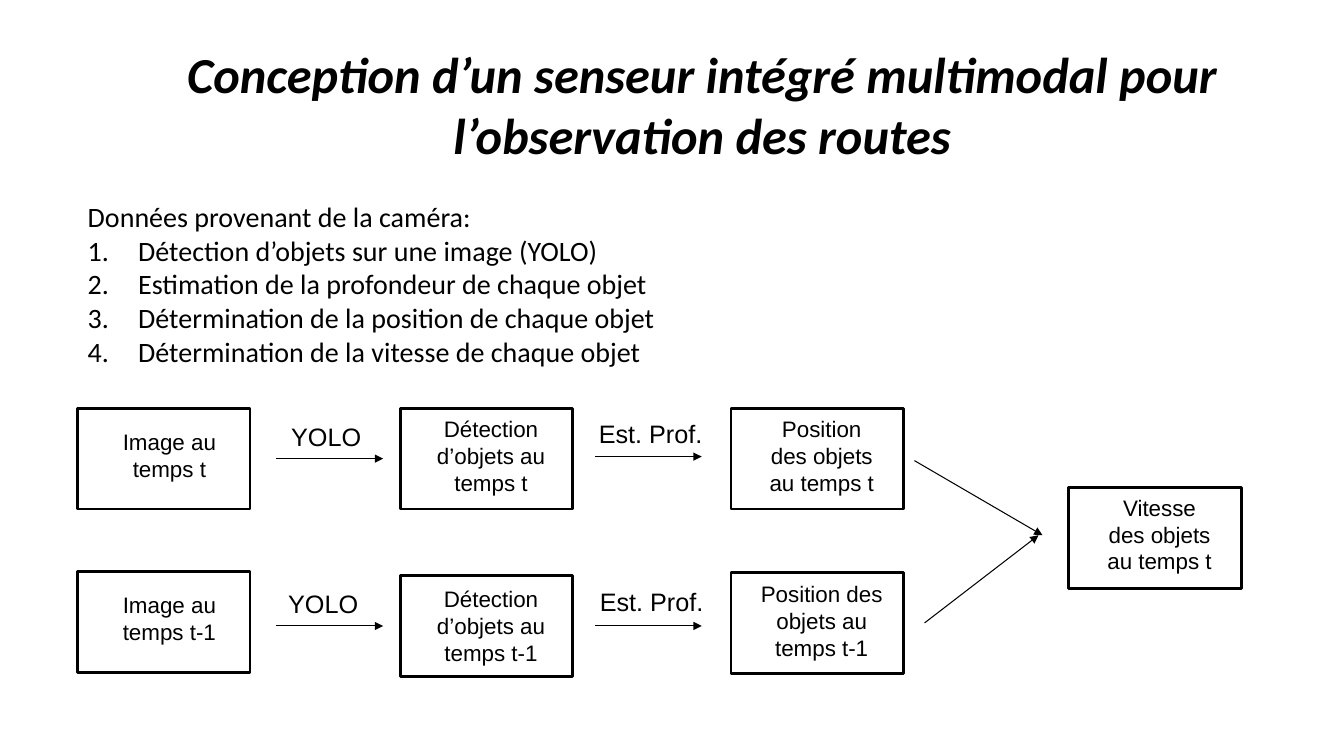
from lxml import etree
from pptx import Presentation
from pptx import util as u
from pptx.dml.color import RGBColor
from pptx.enum import shapes, text
from pptx.oxml.ns import qn

PX = 9144  # 100 px to the inch
BLACK, WHITE = "000000", "FFFFFF"
BOX_WIDTH, BOX_HEIGHT = 171, 100

TITLE = "Conception d’un senseur intégré multimodal pour l’observation des routes"
INTRO = "Données provenant de la caméra:"
STEPS = [
    "Détection d’objets sur une image (YOLO)",
    "Estimation de la profondeur de chaque objet",
    "Détermination de la position de chaque objet",
    "Détermination de la vitesse de chaque objet",
]

# box left, box top, caption, caption left, top, width, height
STAGES = [
    (77, 405, "Image au temps t", 102, 420, 132, 63),
    (77, 567, "Image au temps t-1", 102, 582, 132, 63),
    (397, 405, "Détection d’objets au temps t", 421, 407, 132, 90),
    (397, 571, "Détection d’objets au temps t-1", 421, 576, 132, 90),
    (725, 405, "Position des objets au temps t", 749, 407, 132, 90),
    (725, 568, "Position des objets au temps t-1", 742, 571, 146, 90),
    (1060, 484, "Vitesse des objets au temps t", 1084, 485, 132, 90),
]
ARROWS = [
    (274, 455, 380, 455),
    (274, 621, 380, 621),
    (590, 453, 696, 453),
    (590, 621, 696, 621),
    (907, 457, 1034, 531),
    (917, 618, 1030, 531),
]
METHODS = [
    ("YOLO", 279, 413, 94),
    ("YOLO", 276, 579, 94),
    ("Est. Prof.", 584, 410, 129),
    ("Est. Prof.", 585, 577, 129),
]

TITLE_FONT = {"name": "Calibri", "size": u.Pt(36), "bold": True, "italic": True}
LIST_FONT = {"name": "Calibri", "size": u.Pt(20)}
STAGE_FONT = {"name": "Arial", "size": u.Pt(16)}
METHOD_FONT = {"name": "Arial", "size": u.Pt(18)}


def px(*lengths):
    return [u.Emu(length * PX) for length in lengths]


def color(hex_value):
    return RGBColor.from_string(hex_value)


def set_attributes(target, values):
    for name, value in values.items():
        setattr(target, name, value)


def place(shape, left, top, width, height):
    set_attributes(shape, dict(zip(("left", "top", "width", "height"),
                                   px(left, top, width, height))))


def write(paragraph, content, font, alignment):
    paragraph.alignment = alignment
    run = paragraph.add_run()
    run.text = content
    set_attributes(run.font, font)
    run.font.color.rgb = color(BLACK)


def prepare_frame(shape):
    frame = shape.text_frame
    set_attributes(frame, {
        "word_wrap": True,
        "auto_size": text.MSO_AUTO_SIZE.NONE,
        "vertical_anchor": text.MSO_ANCHOR.TOP,
    })
    return frame


def fill_title(slide):
    title = slide.shapes.title
    place(title, 102, 38, 1189, 131)
    write(prepare_frame(title).paragraphs[0], TITLE, TITLE_FONT, text.PP_ALIGN.CENTER)


def set_bullet(paragraph, numbered):
    properties = paragraph._p.get_or_add_pPr()
    indent = px(50)[0] if numbered else 0
    properties.set("marL", str(indent))
    properties.set("indent", str(-indent))
    if numbered:
        bullet_color = etree.SubElement(properties, qn("a:buClr"))
        etree.SubElement(bullet_color, qn("a:srgbClr"), val=BLACK)
        etree.SubElement(properties, qn("a:buAutoNum"), type="arabicPeriod")
    else:
        etree.SubElement(properties, qn("a:buNone"))


def fill_list(slide):
    body = slide.placeholders[1]
    place(body, 77, 193, 883, 210)
    frame = prepare_frame(body)
    for index, content in enumerate([INTRO] + STEPS):
        paragraph = frame.add_paragraph() if index else frame.paragraphs[0]
        paragraph.space_before = u.Pt(0)
        set_bullet(paragraph, numbered=index > 0)
        write(paragraph, content, LIST_FONT, text.PP_ALIGN.LEFT)


def add_label(slide, content, position, font, alignment):
    label = slide.shapes.add_textbox(*px(*position))
    write(prepare_frame(label).paragraphs[0], content, font, alignment)


def add_stage(slide, left, top, caption, *caption_position):
    box = slide.shapes.add_shape(shapes.MSO_SHAPE.RECTANGLE,
                                 *px(left, top, BOX_WIDTH, BOX_HEIGHT))
    box.shadow.inherit = False
    box.fill.solid()
    box.fill.fore_color.rgb = color(WHITE)
    box.line.color.rgb = color(BLACK)
    box.line.width = u.Pt(2)
    add_label(slide, caption, caption_position, STAGE_FONT, text.PP_ALIGN.CENTER)


def add_arrow(slide, *ends):
    arrow = slide.shapes.add_connector(shapes.MSO_CONNECTOR.STRAIGHT, *px(*ends))
    arrow.line.color.rgb = color(BLACK)
    arrow.line.width = u.Pt(0.75)
    etree.SubElement(arrow.line._get_or_add_ln(), qn("a:tailEnd"), type="triangle")
    etree.SubElement(arrow._element.spPr, qn("a:effectLst"))


def main():
    presentation = Presentation()
    presentation.slide_width, presentation.slide_height = px(1333, 750)
    slide = presentation.slides.add_slide(presentation.slide_layouts[1])
    fill_title(slide)
    fill_list(slide)
    for stage in STAGES:
        add_stage(slide, *stage)
    for arrow in ARROWS:
        add_arrow(slide, *arrow)
    for name, left, top, width in METHODS:
        add_label(slide, name, (left, top, width, 40), METHOD_FONT, text.PP_ALIGN.LEFT)
    presentation.save("out.pptx")


if __name__ == "__main__":
    main()
